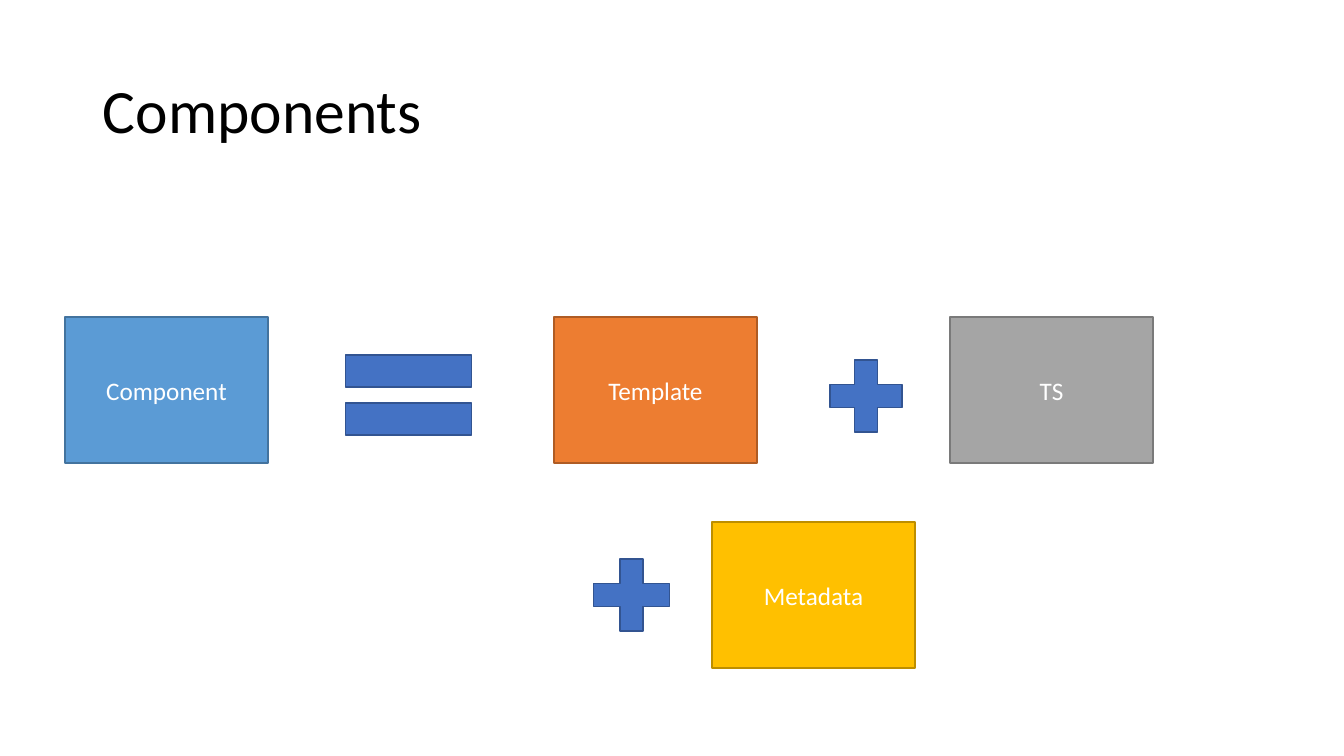
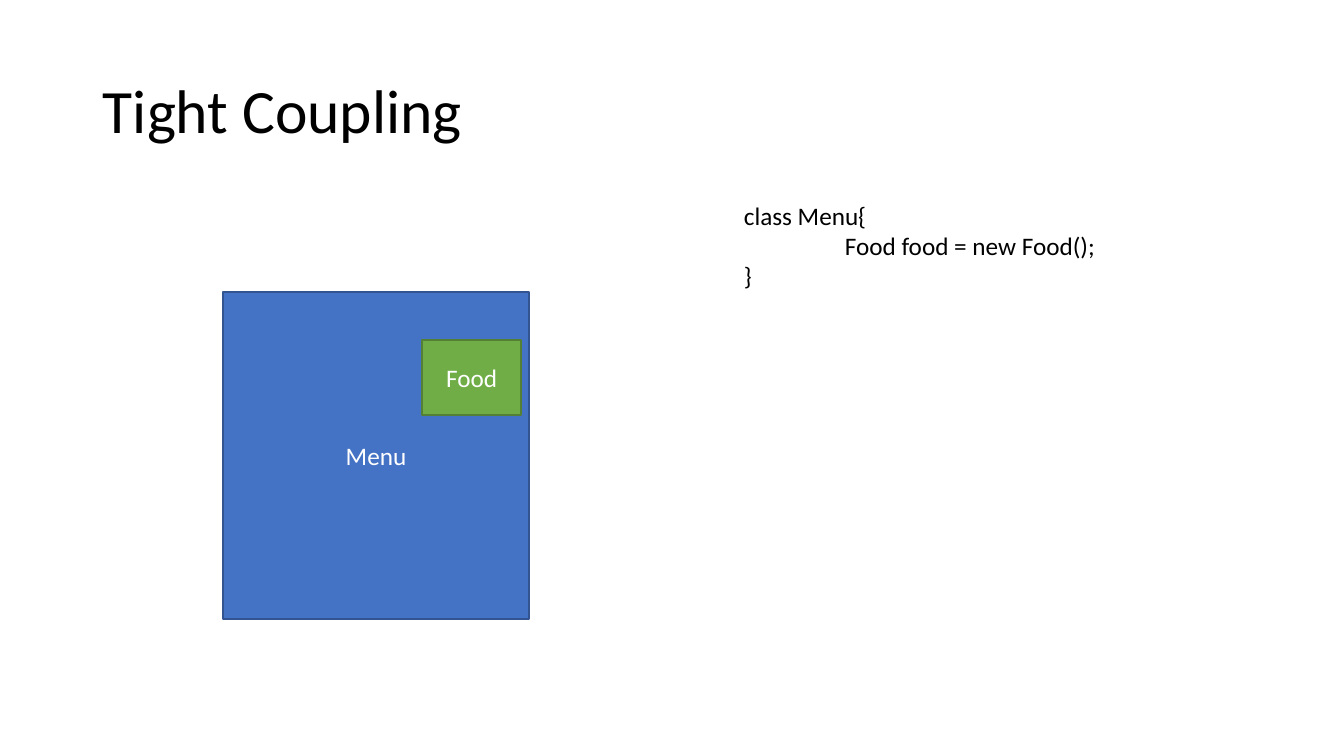
from lxml import etree
from pptx import Presentation
from pptx.dml.color import RGBColor
from pptx.enum.shapes import MSO_SHAPE as Shape
from pptx.enum.text import MSO_ANCHOR as Anchor, PP_ALIGN as Align
from pptx.oxml.ns import qn
from pptx.util import Emu, Pt

SLIDE_WIDTH, SLIDE_HEIGHT = 1344, 756
EMU_PER_PX = 12192000 / SLIDE_WIDTH
TAB_STOP = 101
FONT = "Calibri"
BLACK, WHITE = "000000", "FFFFFF"

# Each colour is a fill and its darker outline
BLUE = ("4472C4", "325491")
LIGHT_BLUE = ("5B9BD5", "43739E")
ORANGE = ("ED7D31", "AF5C24")
GRAY = ("A5A5A5", "7A7A7A")
GOLD = ("FFC000", "BD8E00")
GREEN = ("70AD47", "538035")


def px(value):
    return Emu(round(value * EMU_PER_PX))


def color(hex_string):
    return RGBColor.from_string(hex_string)


def add_tab_stop(paragraph, position):
    properties = paragraph._p.get_or_add_pPr()
    tab_list = etree.SubElement(properties, qn("a:tabLst"))
    etree.SubElement(tab_list, qn("a:tab"), pos=str(px(position)), algn="l")


def write(shape, text, size, hex_color, anchor, align=Align.LEFT, spacing=None):
    frame = shape.text_frame
    frame.word_wrap = True
    frame.vertical_anchor = anchor
    frame.text = text
    for paragraph in frame.paragraphs:
        paragraph.alignment = align
        paragraph.line_spacing = spacing
        if "\t" in paragraph.text:
            add_tab_stop(paragraph, TAB_STOP)
        for run in paragraph.runs:
            run.font.name = FONT
            run.font.size = Pt(size)
            run.font.color.rgb = color(hex_color)


def add_text(slide, box, text, size, anchor, spacing=None):
    shape = slide.shapes.add_textbox(*map(px, box))
    write(shape, text, size, BLACK, anchor, spacing=spacing)


def add_figure(slide, kind, box, colors, label=None):
    fill, outline = colors
    shape = slide.shapes.add_shape(kind, *map(px, box))
    shape.shadow.inherit = False
    shape.fill.solid()
    shape.fill.fore_color.rgb = color(fill)
    shape.line.color.rgb = color(outline)
    shape.line.width = Pt(1)
    if label:
        write(shape, label, 18, WHITE, Anchor.MIDDLE, Align.CENTER)


def add_titled_slide(presentation, title):
    slide = presentation.slides.add_slide(presentation.slide_layouts[6])
    add_text(slide, (93, 41, 1159, 146), title, 44, Anchor.MIDDLE, spacing=0.9)
    return slide


def add_equation(slide, left, top):
    """Component = Template + TS, with + Metadata on a second row."""
    block_width, block_height, second_row = 203, 146, 205
    blocks = [
        ("Component", 0, 0, LIGHT_BLUE),
        ("Template", 489, 0, ORANGE),
        ("TS", 885, 0, GRAY),
        ("Metadata", 647, second_row, GOLD),
    ]
    for label, x, y, colors in blocks:
        box = (left + x, top + y, block_width, block_height)
        add_figure(slide, Shape.RECTANGLE, box, colors, label)

    # Operators between the blocks
    operators = [
        (Shape.MATH_EQUAL, 258, 10, 171, 136),
        (Shape.MATH_PLUS, 752, 30, 98, 98),
        (Shape.MATH_PLUS, 515, 229, 103, 98),
    ]
    for kind, x, y, width, height in operators:
        add_figure(slide, kind, (left + x, top + y, width, height), BLUE)


def add_nested_classes(slide, left, top):
    """Menu with Food held inside it."""
    add_figure(slide, Shape.RECTANGLE, (left, top, 306, 327), BLUE, "Menu")
    add_figure(slide, Shape.RECTANGLE, (left + 199, top + 48, 99, 75), GREEN, "Food")


def main():
    presentation = Presentation()
    presentation.slide_width = px(SLIDE_WIDTH)
    presentation.slide_height = px(SLIDE_HEIGHT)

    # Components
    slide = add_titled_slide(presentation, "Components")
    add_equation(slide, 65, 317)

    # Tight coupling
    slide = add_titled_slide(presentation, "Tight Coupling")
    add_nested_classes(slide, 223, 292)
    code = "class Menu{\n\tFood food = new Food();\n}"
    add_text(slide, (734, 195, 557, 102), code, 18, Anchor.TOP)

    presentation.save("out.pptx")


if __name__ == "__main__":
    main()
